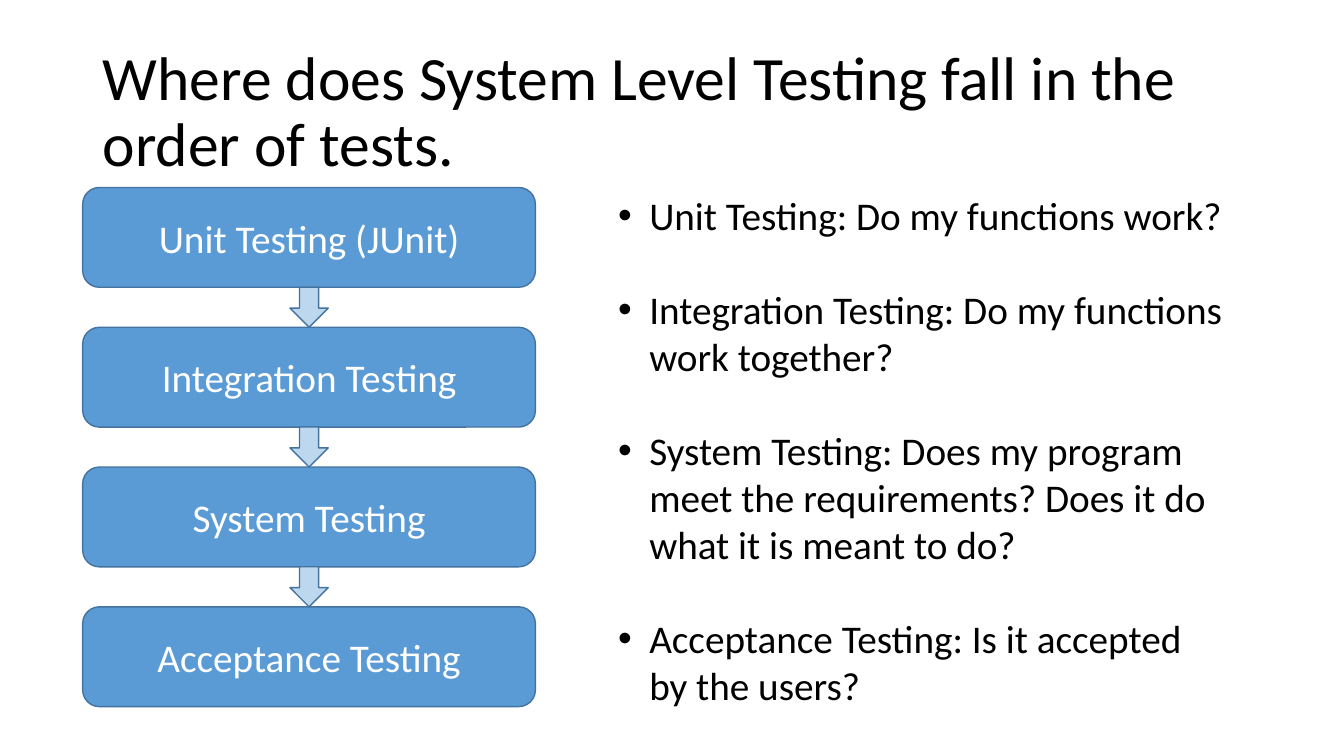
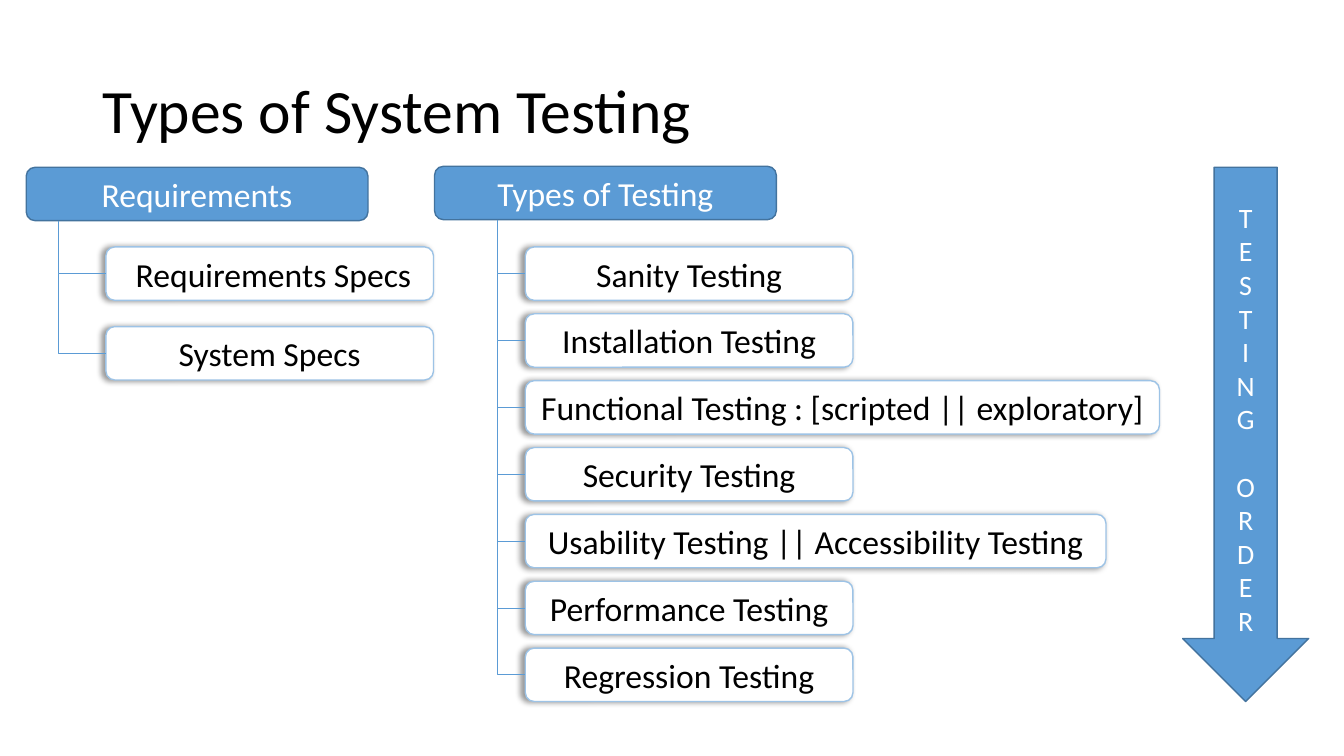
from dataclasses import dataclass
from typing import Any

import lxml.etree
import pptx
import pptx.dml.color
import pptx.enum.shapes
import pptx.enum.text
import pptx.oxml.ns
import pptx.util

Inches = pptx.util.Inches
Pt = pptx.util.Pt
Preset = pptx.enum.shapes.MSO_SHAPE
Align = pptx.enum.text.PP_ALIGN
Anchor = pptx.enum.text.MSO_ANCHOR

# Shared look
FONT = "Calibri"
BLACK, WHITE = "000000", "FFFFFF"
BLUE, PALE_BLUE, LIGHT_EDGE, DARK_EDGE = "5B9BD5", "BDD7EE", "9DC3E6", "43739E"
FRAME_FORMAT = {"word_wrap": True, "auto_size": pptx.enum.text.MSO_AUTO_SIZE.NONE}
TITLE_AREA = (0.92, 0.4, 11.5, 1.45)
TITLE_LAYOUT, LIST_LAYOUT = 5, 1


@dataclass(frozen=True)
class BoxStyle:
    fill: str
    edge: str
    text: str = WHITE
    size: int = 24
    shadow: bool = False


@dataclass(frozen=True)
class Tree:
    heading: str
    left: float
    top: float
    trunk: float
    leaf_left: float
    last_leaf: float
    leaves: tuple[tuple[str, float], ...]


STEP = BoxStyle(BLUE, DARK_EDGE, size=28)
STEP_ARROW = BoxStyle(PALE_BLUE, DARK_EDGE)
HEADING = BoxStyle(BLUE, DARK_EDGE)
LEAF = BoxStyle(WHITE, LIGHT_EDGE, BLACK, shadow=True)
ORDER_ARROW = BoxStyle(BLUE, DARK_EDGE, size=20)


def colour(value: str) -> pptx.dml.color.RGBColor:
    return pptx.dml.color.RGBColor.from_string(value)


def apply(target: Any, values: dict[str, Any]) -> None:
    for name, value in values.items():
        setattr(target, name, value)


def place(shape: Any, left: float, top: float, width: float, height: float) -> None:
    apply(shape, {"left": Inches(left), "top": Inches(top),
                  "width": Inches(width), "height": Inches(height)})


def write(para: Any, text: str, size: int, text_colour: str, **values: Any) -> None:
    """Fill one paragraph and format it."""
    apply(para, values)
    span = para.add_run()
    span.text = text
    apply(span.font, {"name": FONT, "size": Pt(size)})
    span.font.color.rgb = colour(text_colour)


def add_slide(deck: Any, layout: int, title: str) -> Any:
    page = deck.slides.add_slide(deck.slide_layouts[layout])
    place(page.shapes.title, *TITLE_AREA)
    frame = page.shapes.title.text_frame
    apply(frame, FRAME_FORMAT | {"vertical_anchor": Anchor.MIDDLE})
    write(frame.paragraphs[0], title, 44, BLACK,
          alignment=Align.LEFT, line_spacing=0.9)
    return page


def add_shadow(box: Any) -> None:
    effects = box._element.spPr.find(pptx.oxml.ns.qn("a:effectLst"))
    shadow = lxml.etree.SubElement(
        effects, pptx.oxml.ns.qn("a:outerShdw"), blurRad=str(Pt(4)),
        dist=str(Pt(3)), dir="10800000", algn="r", rotWithShape="0")
    black = lxml.etree.SubElement(shadow, pptx.oxml.ns.qn("a:srgbClr"), val=BLACK)
    lxml.etree.SubElement(black, pptx.oxml.ns.qn("a:alpha"), val="40000")


def add_box(page: Any, preset: Any, area: tuple[float, float, float, float],
            style: BoxStyle, text: str = "") -> Any:
    box = page.shapes.add_shape(preset, *map(Inches, area))
    box.shadow.inherit = False
    box.fill.solid()
    box.fill.fore_color.rgb = colour(style.fill)
    box.line.color.rgb = colour(style.edge)
    box.line.width = Pt(1)
    if style.shadow:
        add_shadow(box)
    apply(box.text_frame, FRAME_FORMAT | {"vertical_anchor": Anchor.MIDDLE})
    if text:
        write(box.text_frame.paragraphs[0], text, style.size, style.text,
              alignment=Align.CENTER)
    return box


def add_branch(page: Any, left: float, top: float, right: float, bottom: float) -> None:
    """Draw an elbow that runs down and then right."""
    branch = page.shapes.add_connector(
        pptx.enum.shapes.MSO_CONNECTOR.ELBOW, 0, 0, 0, 0)
    # The one-bend preset runs right and then down: turn and flip it.
    across, down = right - left, bottom - top
    place(branch, (left + right - down) / 2, (top + bottom - across) / 2, down, across)
    outline = branch._element.spPr
    outline.find(pptx.oxml.ns.qn("a:prstGeom")).set("prst", "bentConnector2")
    frame = outline.find(pptx.oxml.ns.qn("a:xfrm"))
    frame.set("rot", "16200000")
    frame.set("flipH", "1")
    branch.line.color.rgb = colour(BLUE)
    branch.line.width = Pt(0.5)
    lxml.etree.SubElement(outline, pptx.oxml.ns.qn("a:effectLst"))


def add_steps(page: Any, steps: tuple[str, ...]) -> None:
    """Stack the steps with an arrow in each gap."""
    left, top, last_top, width, height, arrow_width = 0.82, 1.86, 6.02, 4.49, 0.99, 0.38
    pitch = (last_top - top) / (len(steps) - 1)
    for index, step in enumerate(steps):
        step_top = top + index * pitch
        add_box(page, Preset.ROUNDED_RECTANGLE, (left, step_top, width, height),
                STEP, step)
        if index:
            add_box(page, Preset.DOWN_ARROW,
                    (left + (width - arrow_width) / 2, step_top - pitch + height,
                     arrow_width, pitch - height), STEP_ARROW)


def add_questions(page: Any, questions: tuple[str, ...]) -> None:
    body = page.placeholders[1]
    place(body, 6.03, 1.85, 6.23, 5.28)
    frame = body.text_frame
    apply(frame, FRAME_FORMAT | {"vertical_anchor": Anchor.TOP})
    for index, question in enumerate(questions):
        para = frame.add_paragraph() if index else frame.paragraphs[0]
        write(para, question, 28, BLACK, alignment=Align.LEFT,
              space_before=Pt(33.5 if index else 0))
        indents = para._p.get_or_add_pPr()
        indents.set("marL", str(Inches(0.31)))
        indents.set("indent", str(Inches(-0.31)))


def add_tree(page: Any, tree: Tree) -> None:
    """Draw a heading, its leaves and the elbows that join them."""
    height, first_leaf = 0.53, 2.45
    add_box(page, Preset.ROUNDED_RECTANGLE, (tree.left, tree.top, 3.39, height),
            HEADING, tree.heading)
    pitch = (tree.last_leaf - first_leaf) / (len(tree.leaves) - 1)
    branch_top = tree.top + height
    for index, (name, width) in enumerate(tree.leaves):
        leaf_top = first_leaf + index * pitch
        middle = leaf_top + height / 2
        add_box(page, Preset.ROUNDED_RECTANGLE,
                (tree.leaf_left, leaf_top, width, height), LEAF, name)
        add_branch(page, tree.trunk, branch_top, tree.leaf_left, middle)
        branch_top = middle


def add_order_arrow(page: Any, words: tuple[str, ...]) -> None:
    """Write the words downwards, one letter a line."""
    arrow = add_box(page, Preset.DOWN_ARROW, (11.73, 1.66, 1.25, 5.3), ORDER_ARROW)
    frame = arrow.text_frame
    for word_index, word in enumerate(words):
        for index, letter in enumerate(word):
            first = word_index == index == 0
            para = frame.paragraphs[0] if first else frame.add_paragraph()
            gap = 24 if word_index and not index else 0
            write(para, letter, ORDER_ARROW.size, ORDER_ARROW.text,
                  alignment=Align.CENTER, space_before=Pt(gap))


deck = pptx.Presentation()
apply(deck, {"slide_width": Inches(13.33), "slide_height": Inches(7.5)})

# Slide 1: order of tests
order_page = add_slide(deck, LIST_LAYOUT,
                       "Where does System Level Testing fall in the order of tests.")
add_steps(order_page, ("Unit Testing (JUnit)", "Integration Testing",
                       "System Testing", "Acceptance Testing"))
add_questions(order_page, (
    "Unit Testing: Do my functions work?",
    "Integration Testing: Do my functions work together?",
    "System Testing: Does my program meet the requirements? "
    "Does it do what it is meant to do?",
    "Acceptance Testing: Is it accepted by the users?",
))

# Slide 2: types of system testing
LEAF_WIDTH = 3.25
TREES = (
    Tree("Requirements", 0.26, 1.66, 0.58, 1.05, 3.24, (
        (" Requirements Specs", LEAF_WIDTH),
        ("System Specs", LEAF_WIDTH),
    )),
    Tree("Types of Testing", 4.31, 1.65, 4.93, 5.21, 6.43, (
        ("Sanity Testing", LEAF_WIDTH),
        ("Installation Testing", LEAF_WIDTH),
        ("Functional Testing : [scripted || exploratory]", 6.29),
        ("Security Testing", LEAF_WIDTH),
        ("Usability Testing || Accessibility Testing", 5.76),
        ("Performance Testing", LEAF_WIDTH),
        ("Regression Testing", LEAF_WIDTH),
    )),
)
types_page = add_slide(deck, TITLE_LAYOUT, "Types of System Testing")
for tree in TREES:
    add_tree(types_page, tree)
add_order_arrow(types_page, ("TESTING", "ORDER"))

deck.save("out.pptx")
